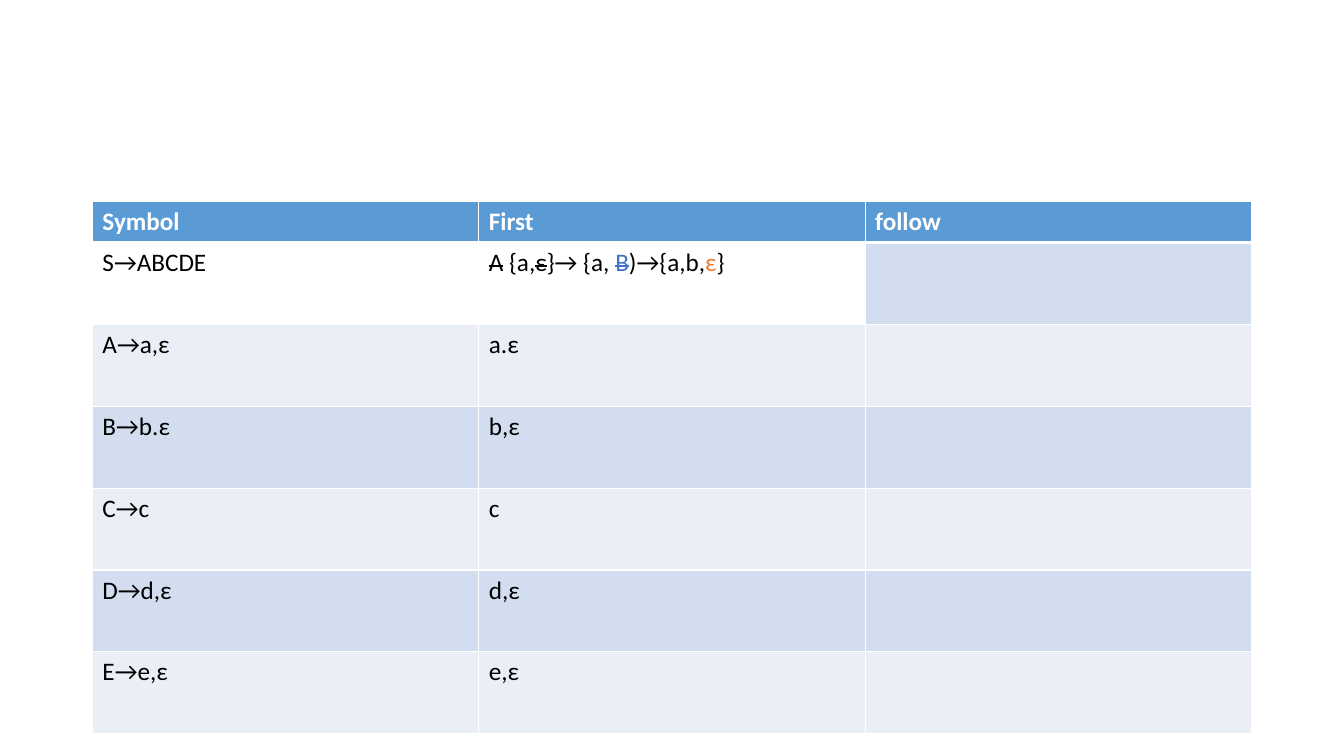
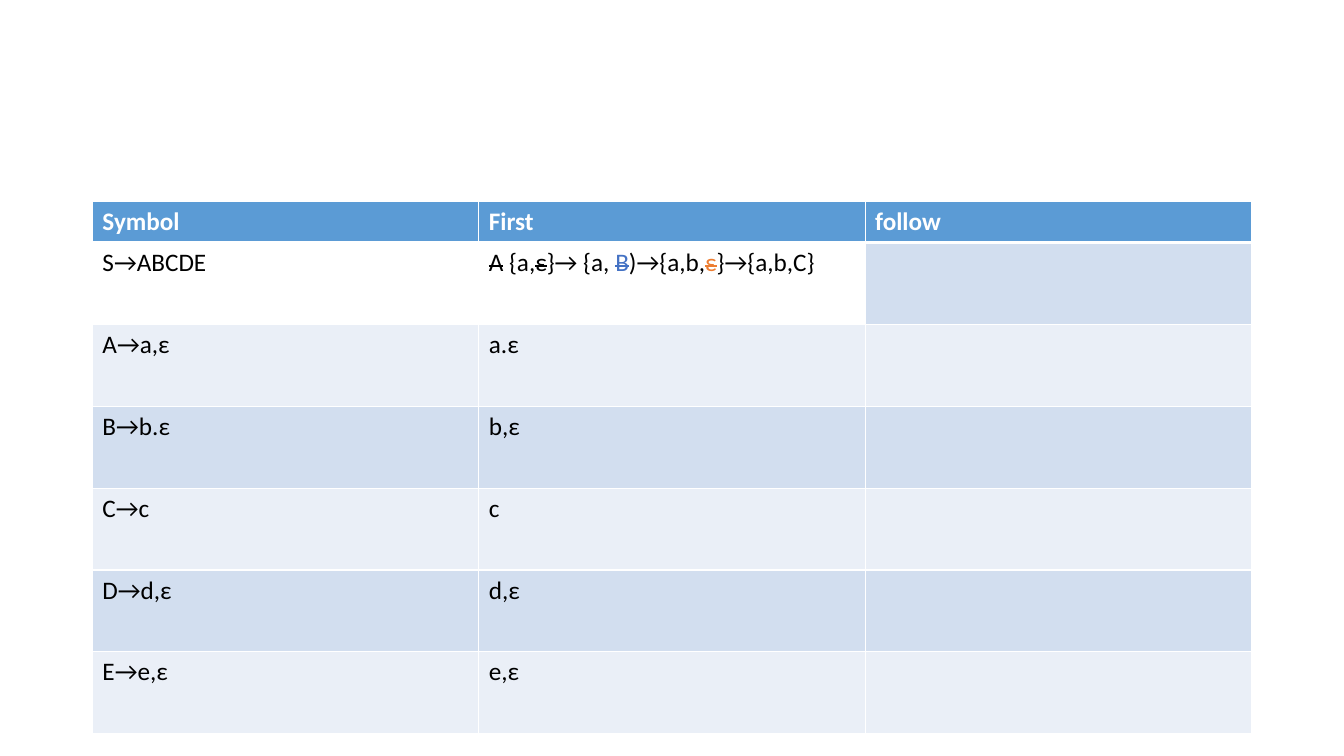
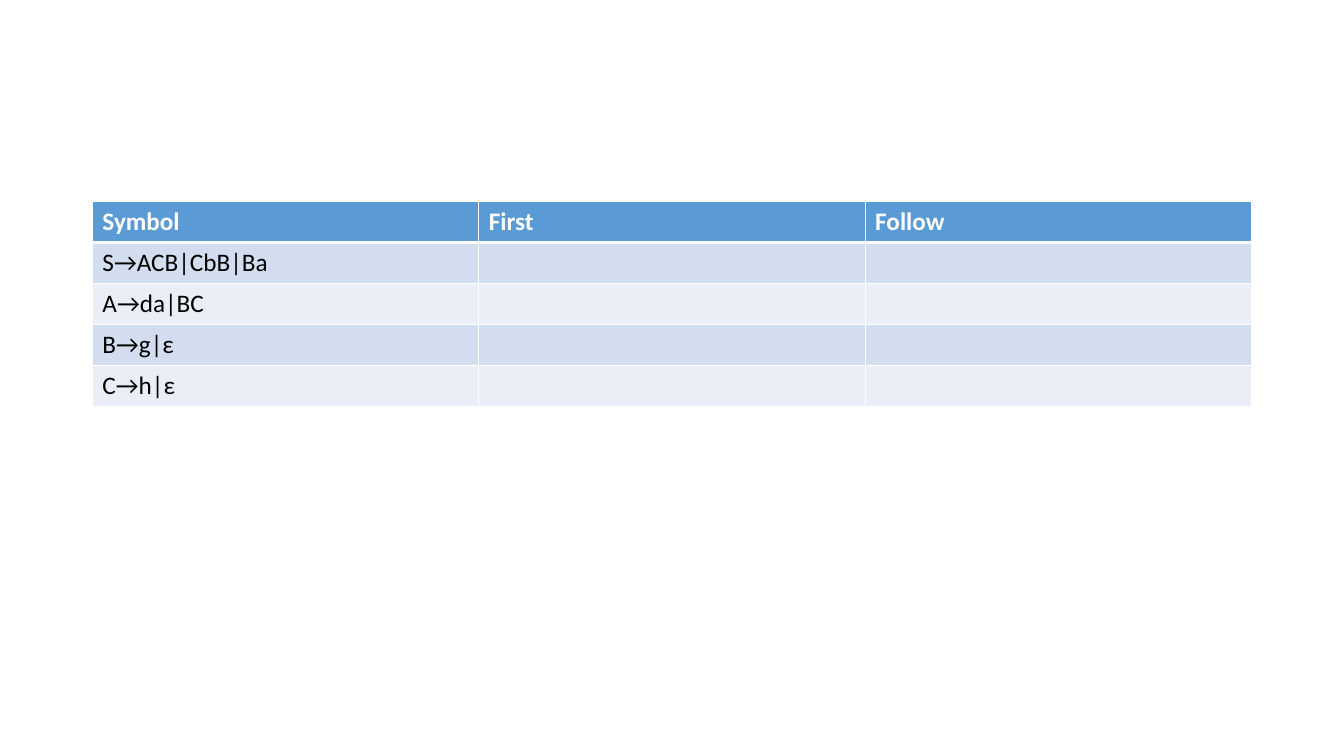
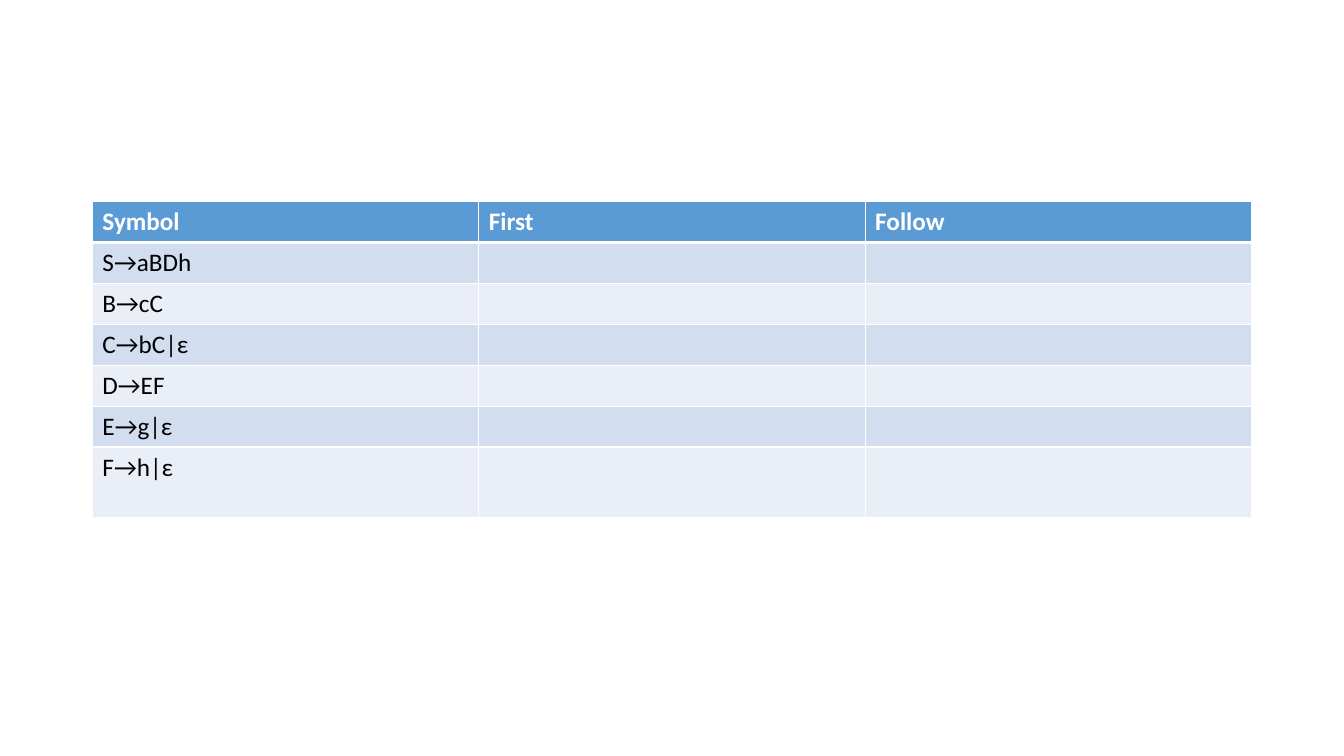
from lxml import etree
from pptx import Presentation
from pptx import util as u
from pptx.dml.color import RGBColor
from pptx.oxml.ns import qn

PX = 9525
WHITE = RGBColor(0xFF, 0xFF, 0xFF)
BLACK = RGBColor(0x00, 0x00, 0x00)
HEADER = RGBColor(0x5B, 0x9B, 0xD5)
BANDS = [RGBColor(0xD2, 0xDE, 0xEF), RGBColor(0xEA, 0xEF, 0xF7)]
BLUE = RGBColor(0x44, 0x72, 0xC4)
ORANGE = RGBColor(0xED, 0x7D, 0x31)
FONT = "Calibri"
LEFT, TOP, COLUMN = 88, 192, 368
SINGLE, LAST, DOUBLE = 39, 67, 78


def add_border(cell, side, points):
    line = etree.SubElement(cell._tc.get_or_add_tcPr(), qn(f"a:{side}"), w=str(u.Pt(points)))
    solid = etree.SubElement(line, qn("a:solidFill"))
    etree.SubElement(solid, qn("a:srgbClr"), val=str(WHITE))


def add_run(paragraph, words, color, bold=False, strike=False):
    run = paragraph.add_run()
    run.text = words
    run.font.name = FONT
    run.font.size = u.Pt(18)
    run.font.bold = bold
    run.font.color.rgb = color
    if strike:
        run._r.get_or_add_rPr().set("strike", "sngStrike")


derivation = [
    ("A", BLACK, True), (" {a,", BLACK, False), ("ε", BLACK, True), ("}→ {a, ", BLACK, False),
    ("B", BLUE, True), (")→{a,b,", BLACK, False),
]
with_epsilon = derivation + [("ε", ORANGE, False), ("}", BLACK, False)]
with_c = derivation + [("ε", ORANGE, True), ("}→{a,b,C}", BLACK, False)]
known_firsts = [("A→a,ε", "a.ε"), ("B→b.ε", "b,ε"), ("C→c", "c"), ("D→d,ε", "d,ε"), ("E→e,ε", "e,ε")]
second_grammar = ["S→ACB|CbB|Ba", "A→da|BC", "B→g|ε", "C→h|ε"]
third_grammar = ["S→aBDh", "B→cC", "C→bC|ε", "D→EF", "E→g|ε", "F→h|ε"]

grammars = [
    ("follow", [("S→ABCDE", with_epsilon)] + known_firsts, [DOUBLE] * 6),
    ("follow", [("S→ABCDE", with_c)] + known_firsts, [DOUBLE] * 6),
    ("Follow", [(rule, "") for rule in second_grammar], [SINGLE] * 4),
    ("Follow", [(rule, "") for rule in third_grammar], [SINGLE] * 5 + [LAST]),
]

deck = Presentation()
deck.slide_width = 1280 * PX
deck.slide_height = 720 * PX

for follow_heading, productions, body_heights in grammars:
    slide = deck.slides.add_slide(deck.slide_layouts[6])
    heights = [SINGLE] + body_heights
    grid = slide.shapes.add_table(
        len(heights), 3, LEFT * PX, TOP * PX, 3 * COLUMN * PX, sum(heights) * PX
    ).table
    grid.horz_banding = False
    for column in grid.columns:
        column.width = COLUMN * PX
    entries = [("Symbol", "First", follow_heading)] + [(rule, first, "") for rule, first in productions]

    for row, (height, contents) in enumerate(zip(heights, entries)):
        grid.rows[row].height = height * PX
        is_header = row == 0
        has_derivation = isinstance(contents[1], list)
        for col, content in enumerate(contents):
            cell = grid.cell(row, col)
            add_border(cell, "lnL", 1)
            add_border(cell, "lnR", 1)
            add_border(cell, "lnT", 3 if row == 1 else 1)
            add_border(cell, "lnB", 3 if is_header else 1)
            if has_derivation and col < 2:
                cell.fill.background()
            else:
                cell.fill.solid()
                cell.fill.fore_color.rgb = HEADER if is_header else BANDS[(row - 1) % 2]
            paragraph = cell.text_frame.paragraphs[0]
            if isinstance(content, list):
                for words, color, strike in content:
                    add_run(paragraph, words, color, strike=strike)
            elif content:
                add_run(paragraph, content, WHITE if is_header else BLACK, bold=is_header)

deck.save("out.pptx")
